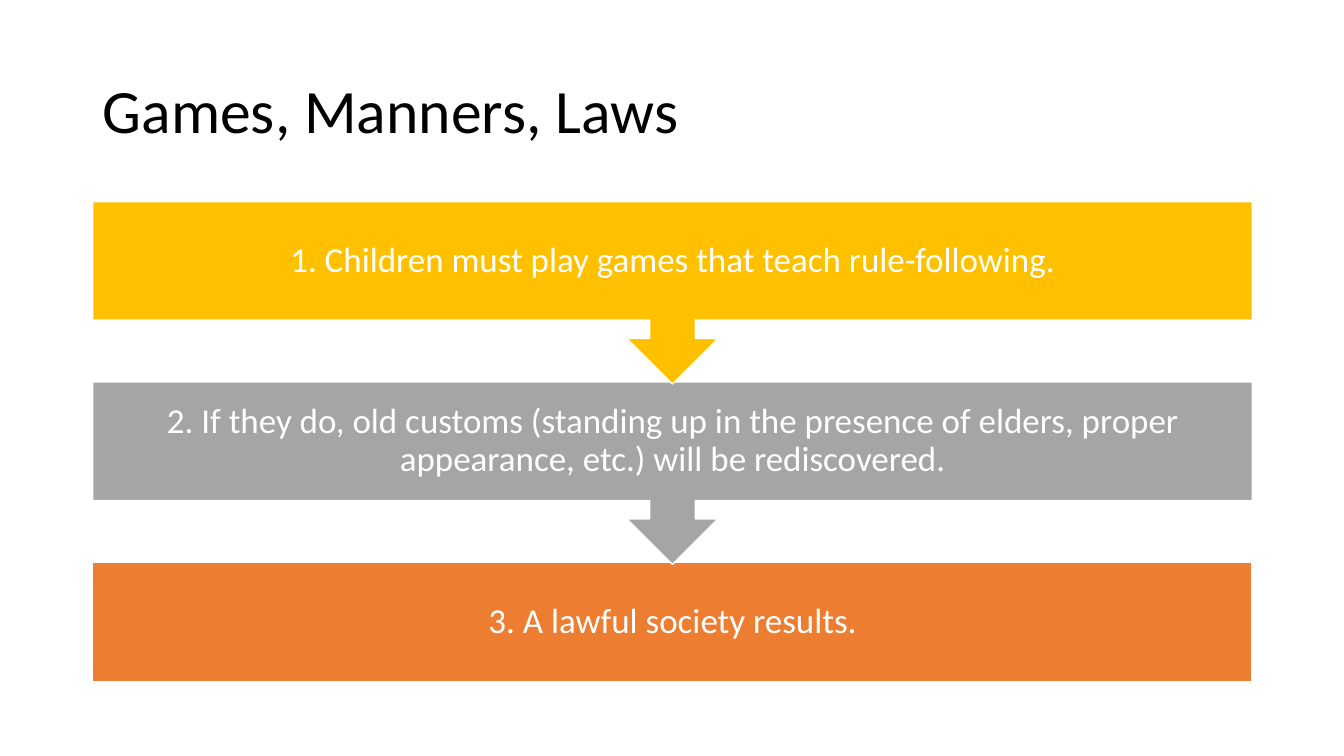
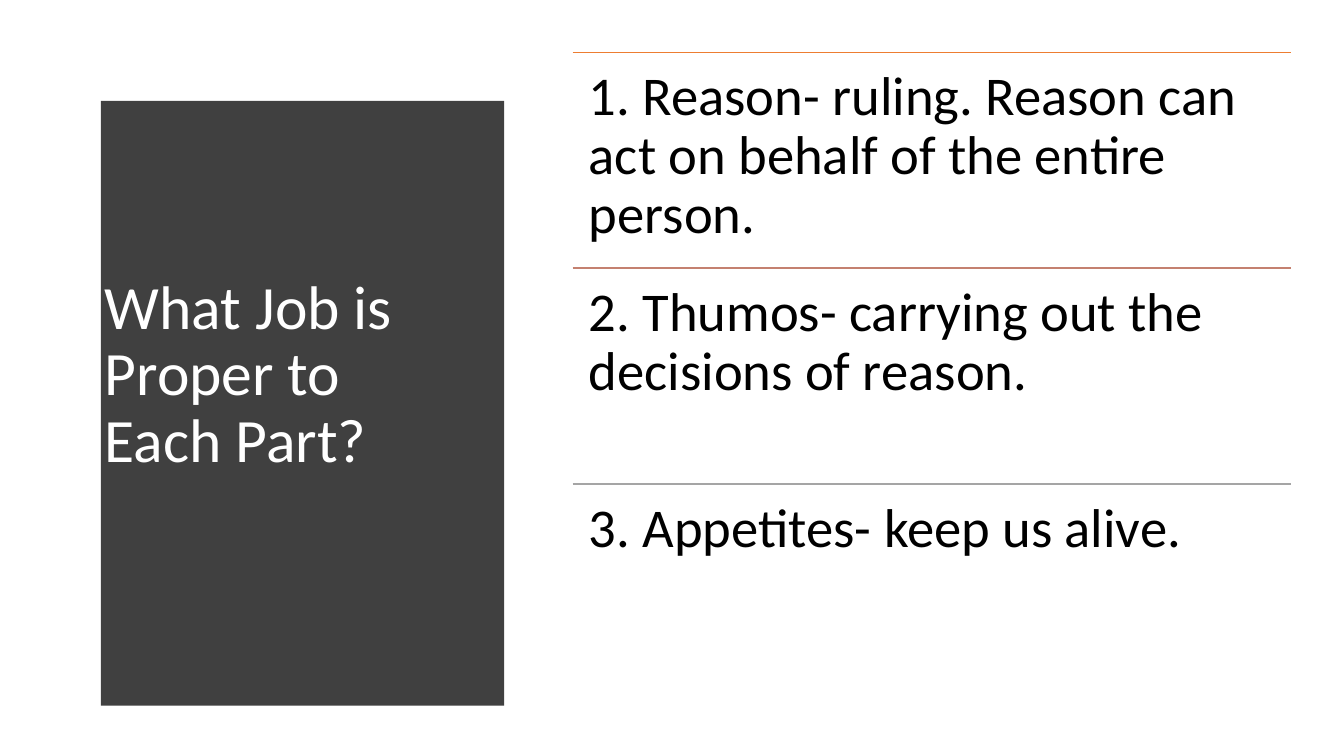
from pptx import Presentation
from pptx.dml.color import RGBColor
from pptx.enum import shapes, text
from pptx.oxml import xmlchemy
from pptx.util import Inches, Pt

FONT = "Calibri"
BLACK, WHITE, CHARCOAL = "000000", "FFFFFF", "404040"
GOLD, GREY, ORANGE, ROSE = "FFC000", "A5A5A5", "ED7D31", "C48170"
TITLE_SIZE = 44


def rgb(value):
    return RGBColor.from_string(value)


def paint(shape, fill, outline=None):
    shape.shadow.inherit = False
    shape.fill.solid()
    shape.fill.fore_color.rgb = rgb(fill)
    if outline:
        shape.line.color.rgb = rgb(outline)
        shape.line.width = Pt(1)
    else:
        shape.line.fill.background()


def write(shape, wording, size, color, align=text.PP_ALIGN.LEFT,
          anchor=text.MSO_ANCHOR.MIDDLE, inset=None):
    frame = shape.text_frame
    frame.word_wrap = True
    frame.auto_size = text.MSO_AUTO_SIZE.NONE
    frame.vertical_anchor = anchor
    if inset is not None:
        frame.margin_left = frame.margin_right = Inches(inset)
        frame.margin_top = frame.margin_bottom = Inches(inset)
    paragraph = frame.paragraphs[0]
    paragraph.alignment = align
    paragraph.line_spacing = 0.9
    run = paragraph.add_run()
    run.text = wording
    run.font.name = FONT
    run.font.size = Pt(size)
    run.font.color.rgb = rgb(color)


def place_title(slide, wording, box, color):
    title = slide.shapes.title
    title.left, title.top, title.width, title.height = map(Inches, box)
    write(title, wording, TITLE_SIZE, color)
    return title


def draw_steps(slide, box, steps):
    left, top, width, height = box
    body = 1.18
    pitch = (height - body) / (len(steps) - 1)
    last = len(steps) - 1
    for index in reversed(range(len(steps))):
        wording, color = steps[index]
        if index == last:
            kind, step_height = shapes.MSO_SHAPE.RECTANGLE, body
        else:
            kind, step_height = shapes.MSO_SHAPE.DOWN_ARROW_CALLOUT, pitch + 0.02
        step = slide.shapes.add_shape(
            kind, Inches(left), Inches(top + index * pitch),
            Inches(width), Inches(step_height))
        paint(step, color, WHITE)
        write(step, wording, 25, WHITE, text.PP_ALIGN.CENTER, inset=0.19)


def draw_curved_panel(slide, box, bulge):
    left, top, width, height = box
    segments = 48
    edge = left + width - bulge
    curve = []
    for index in range(segments + 1):
        share = index / segments
        curve.append((edge + bulge * 4 * share * (1 - share), top + height * share))
    builder = slide.shapes.build_freeform(left, top, scale=Inches(1))
    builder.add_line_segments(curve + [(left, top + height)], close=True)
    panel = builder.convert_to_shape()
    paint(panel, CHARCOAL)
    return panel


def draw_ruled_list(slide, box, entries):
    left, top, width, height = box
    row_height = height / len(entries)
    for index, (wording, color) in enumerate(entries):
        row_top = top + index * row_height
        rule = slide.shapes.add_connector(
            shapes.MSO_CONNECTOR.STRAIGHT, Inches(left), Inches(row_top),
            Inches(left + width), Inches(row_top))
        rule.line.color.rgb = rgb(color)
        rule.line.width = Pt(1)
        effects = xmlchemy.OxmlElement("a:effectLst")
        rule.element.spPr.append(effects)
        entry = slide.shapes.add_textbox(
            Inches(left), Inches(row_top), Inches(width), Inches(row_height))
        write(entry, wording, 39, BLACK, anchor=text.MSO_ANCHOR.TOP, inset=0.16)


def build_process_slide(slide):
    place_title(slide, "Games, Manners, Laws", (0.92, 0.4, 11.5, 1.45), BLACK)
    draw_steps(slide, (0.92, 2, 11.5, 4.76), [
        ("1. Children must play games that teach rule-following.", GOLD),
        ("2. If they do, old customs (standing up in the presence of elders, "
         "proper appearance, etc.) will be rediscovered.", GREY),
        ("3. A lawful society results.", ORANGE),
    ])


def build_parts_slide(slide):
    panel = draw_curved_panel(slide, (0.53, 0.52, 4.79, 6.44), 0.24)
    title = place_title(slide, "What Job is Proper to Each Part?",
                        (0.94, 1.11, 3.74, 5.24), WHITE)
    title.element.addprevious(panel.element)
    draw_ruled_list(slide, (5.68, 0.52, 7.12, 6.42), [
        ("1. Reason- ruling. Reason can act on behalf of the entire person.", ORANGE),
        ("2. Thumos- carrying out the decisions of reason.", ROSE),
        ("3. Appetites- keep us alive.", GREY),
    ])


def main():
    deck = Presentation()
    deck.slide_width, deck.slide_height = Inches(13.33), Inches(7.5)
    title_only = deck.slide_layouts[5]
    for build in (build_process_slide, build_parts_slide):
        build(deck.slides.add_slide(title_only))
    deck.save("out.pptx")


if __name__ == "__main__":
    main()
